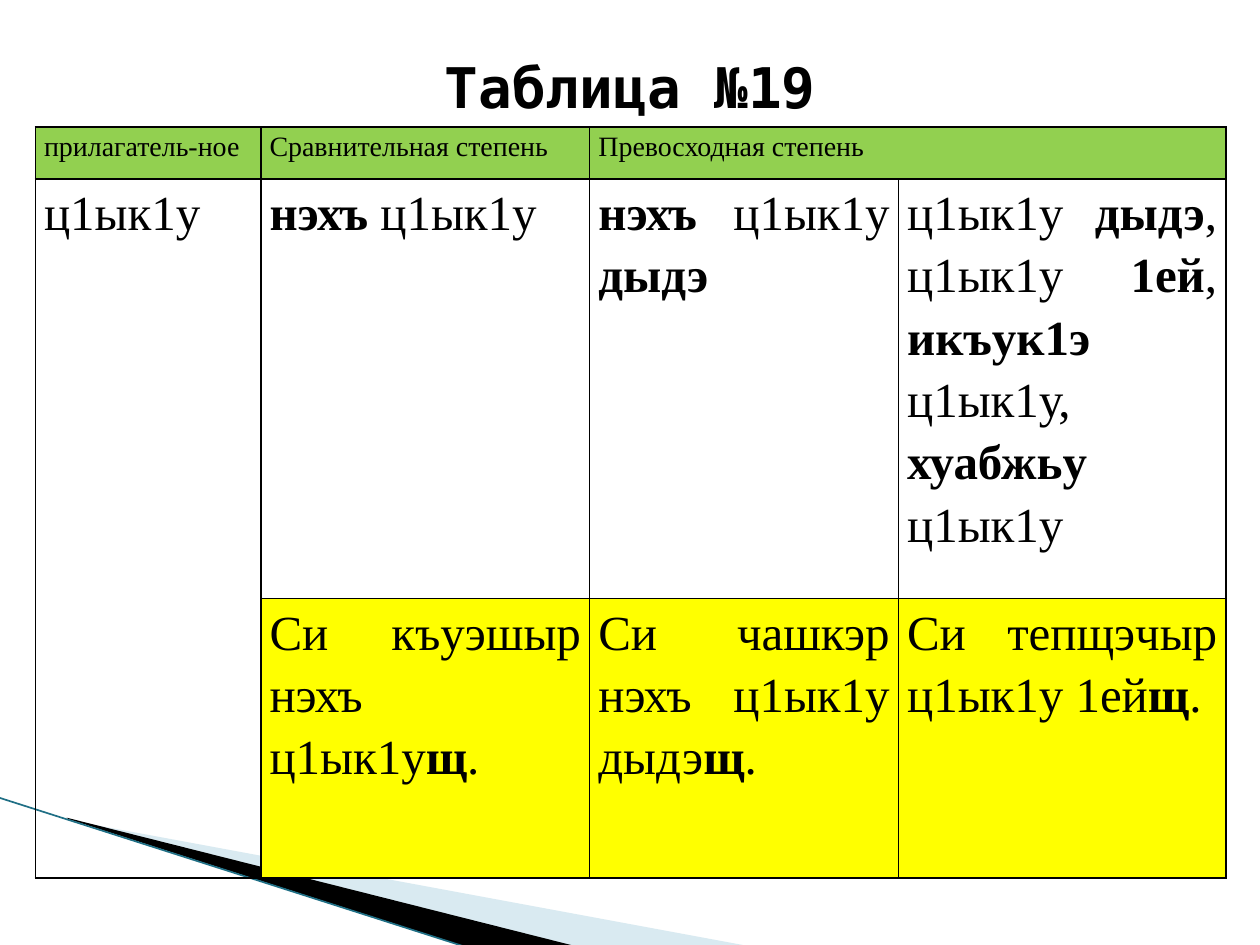
from lxml import etree
from pptx import Presentation
from pptx.dml.color import RGBColor
from pptx.enum.text import MSO_ANCHOR, MSO_AUTO_SIZE, PP_ALIGN
from pptx.enum.shapes import MSO_CONNECTOR
from pptx.oxml.ns import qn
from pptx.util import Inches, Pt

LEFT, JUSTIFY = PP_ALIGN.LEFT, PP_ALIGN.JUSTIFY
MIDDLE = MSO_ANCHOR.MIDDLE
FIT_SHAPE = MSO_AUTO_SIZE.SHAPE_TO_FIT_TEXT
STRAIGHT = MSO_CONNECTOR.STRAIGHT
TITLE_ONLY = 5

BLACK, GREEN, YELLOW = "000000", "92D050", "FFFF00"
PALE_BLUE, TEAL = "A0CBDC", "1F6F85"
TITLE_FONT, TABLE_FONT = "DejaVu Sans Mono", "Times New Roman"


def color(hex_string):
    return RGBColor.from_string(hex_string)


class SlideBuilder:
    title_format = {"name": TITLE_FONT, "size": Pt(32), "bold": True}
    header_format = {"name": TABLE_FONT, "size": Pt(16), "bold": False}
    body_format = {"name": TABLE_FONT, "size": Pt(28), "bold": False}
    cell_format = {"margin_left": Inches(0.07), "margin_right": Inches(0.07),
                   "margin_top": 0, "margin_bottom": 0}

    def __init__(self, slide):
        self.slide = slide

    def format_font(self, font, values):
        for name, value in values.items():
            setattr(font, name, value)
        font.color.rgb = color(BLACK)

    def title(self, text, left, top, width, height):
        shape = self.slide.shapes.title
        box = {"left": left, "top": top, "width": width, "height": height}
        for name, value in box.items():
            setattr(shape, name, Inches(value))
        frame = shape.text_frame
        frame.text = text
        frame.word_wrap = True
        frame.auto_size = FIT_SHAPE
        frame.vertical_anchor = MIDDLE
        paragraph = frame.paragraphs[0]
        paragraph.alignment = LEFT
        paragraph.line_spacing = 1.0
        self.format_font(paragraph.runs[0].font, self.title_format)

    def polygon(self, points, fill, opacity=None):
        start, *others = [(Inches(x), Inches(y)) for x, y in points]
        builder = self.slide.shapes.build_freeform(*start)
        builder.add_line_segments(others, close=True)
        shape = builder.convert_to_shape()
        shape.shadow.inherit = False
        shape.fill.solid()
        shape.fill.fore_color.rgb = color(fill)
        shape.line.fill.background()
        if opacity is not None:
            fill_color = shape._element.spPr.find(".//" + qn("a:srgbClr"))
            etree.SubElement(fill_color, qn("a:alpha"), val=str(opacity * 1000))

    def line(self, start, end, line_color, width):
        ends = [Inches(value) for value in start + end]
        connector = self.slide.shapes.add_connector(STRAIGHT, *ends)
        connector.line.color.rgb = color(line_color)
        connector.line.width = Pt(width)
        etree.SubElement(connector._element.spPr, qn("a:effectLst"))

    def table(self, left, top, columns, rows):
        frame = self.slide.shapes.add_table(
            len(rows), len(columns), Inches(left), Inches(top),
            Inches(sum(columns)), Inches(sum(rows)))
        table = frame.table
        table.first_row = table.horz_banding = False
        for column, width in zip(table.columns, columns):
            column.width = Inches(width)
        for row, height in zip(table.rows, rows):
            row.height = Inches(height)
        return table

    def borders(self, cell):
        properties = cell._tc.get_or_add_tcPr()
        for side in ("a:lnL", "a:lnR", "a:lnT", "a:lnB"):
            border = etree.SubElement(properties, qn(side), w=str(Pt(1)))
            fill = etree.SubElement(border, qn("a:solidFill"))
            etree.SubElement(fill, qn("a:srgbClr"), val=BLACK)

    def cell(self, cell, runs, font_format, fill):
        """Fill one cell; text between asterisks is bold."""
        self.borders(cell)
        for name, value in self.cell_format.items():
            setattr(cell, name, value)
        if fill:
            cell.fill.solid()
            cell.fill.fore_color.rgb = color(fill)
        else:
            cell.fill.background()
        paragraph = cell.text_frame.paragraphs[0]
        paragraph.alignment = JUSTIFY
        paragraph.line_spacing = 1.15
        for index, text in enumerate(runs.split("*")):
            if text:
                run = paragraph.add_run()
                run.text = text
                bold = index % 2 == 1
                self.format_font(run.font, {**font_format, "bold": bold})


def main():
    presentation = Presentation()
    presentation.slide_width = Inches(10)
    presentation.slide_height = Inches(7.5)
    layout = presentation.slide_layouts[TITLE_ONLY]
    builder = SlideBuilder(presentation.slides.add_slide(layout))

    # Corner decoration
    builder.polygon([(0.55, 6.51), (5.95, 7.51), (4.56, 7.51), (0.55, 6.5)],
                    PALE_BLUE, opacity=40)
    builder.polygon([(0.53, 6.49), (4.57, 7.51), (3.72, 7.52), (0.54, 6.5)],
                    BLACK)
    builder.line((-0.01, 6.33), (3.71, 7.52), TEAL, 0.95)

    builder.title("Таблица №19", 3.43, 0.36, 3.78, 0.64)

    # Degrees of comparison: header, forms, example sentences
    table = builder.table(0.28, 1.01, [1.79, 2.61, 2.45, 2.6],
                          [0.41, 3.33, 2.22])
    table.cell(0, 2).merge(table.cell(0, 3))
    table.cell(1, 0).merge(table.cell(2, 0))
    header, body = builder.header_format, builder.body_format
    rows = [
        (header, GREEN, ["прилагатель-ное", "Сравнительная степень",
                         "Превосходная степень", ""]),
        (body, None, ["ц1ык1у", "*нэхъ* ц1ык1у", "*нэхъ* ц1ык1у *дыдэ*",
                      "ц1ык1у *дыдэ*, ц1ык1у *1ей*, *икъук1э* ц1ык1у, "
                      "*хуабжьу* ц1ык1у"]),
        (body, YELLOW, ["", "Си къуэшыр нэхъ ц1ык1у*щ*.",
                        "Си чашкэр нэхъ ц1ык1у дыдэ*щ*.",
                        "Си тепщэчыр ц1ык1у 1ей*щ*."]),
    ]
    for row, (font_format, fill, texts) in enumerate(rows):
        for column, text in enumerate(texts):
            cell = table.cell(row, column)
            builder.cell(cell, text, font_format,
                         None if cell.is_spanned else fill)

    presentation.save("out.pptx")


if __name__ == "__main__":
    main()
